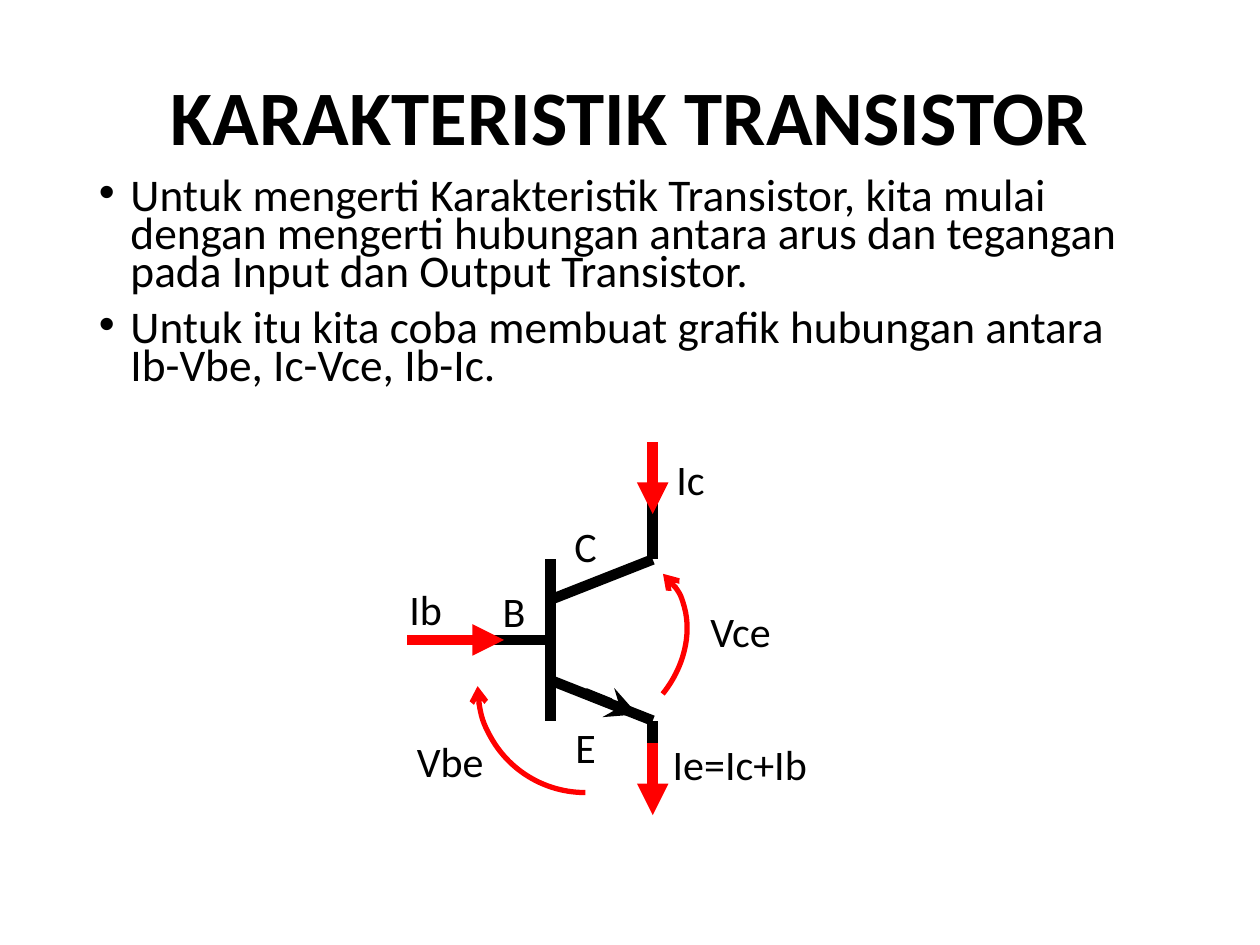
import pptx
import pptx.util
import pptx.dml.color
import pptx.enum.shapes
import pptx.enum.text
import pptx.oxml.ns
from dataclasses import dataclass
from lxml import etree

Pt = pptx.util.Pt
RGB = pptx.dml.color.RGBColor
qn = pptx.oxml.ns.qn
Anchor = pptx.enum.text.MSO_ANCHOR
Align = pptx.enum.text.PP_ALIGN
Kind = pptx.enum.shapes.MSO_SHAPE
Fit = pptx.enum.text.MSO_AUTO_SIZE


@dataclass(frozen=True)
class Theme:
    font: str = "Calibri"
    ink: RGB = RGB(0, 0, 0)
    red: RGB = RGB(255, 0, 0)
    title: float = 44
    body: float = 25.9
    label: float = 24
    wire: float = 6
    curve: float = 3


THEME = Theme()


def style(para, size, bold=False):
    font = para.font
    font.name, font.size, font.bold = THEME.font, Pt(size), bold
    font.color.rgb = THEME.ink


def stroke(shape, color, width, tail=None):
    shape.line.color.rgb = color
    shape.line.width = Pt(width)
    if tail:
        line = shape.line._get_or_add_ln()
        etree.SubElement(line, qn("a:tailEnd"), type=tail)


def add_text(shapes, left, top, width, height):
    box = shapes.add_textbox(Pt(left), Pt(top), Pt(width), Pt(height))
    return box.text_frame


def add_title(slide, left, top, width, height):
    frame = add_text(slide.shapes, left, top, width, height)
    frame.word_wrap = True
    frame.vertical_anchor = Anchor.MIDDLE
    para = frame.paragraphs[0]
    para.text = "KARAKTERISTIK TRANSISTOR"
    para.alignment = Align.CENTER
    para.line_spacing = 0.9
    style(para, THEME.title, True)


def add_body(slide, left, top, width, height):
    points = [
        "Untuk mengerti Karakteristik Transistor, kita mulai dengan mengerti "
        "hubungan antara arus dan tegangan pada Input dan Output Transistor.",
        "Untuk itu kita coba membuat grafik hubungan antara "
        "Ib-Vbe, Ic-Vce, Ib-Ic.",
    ]
    frame = add_text(slide.shapes, left, top, width, height)
    frame.word_wrap = True
    for i, text in enumerate(points):
        para = frame.add_paragraph() if i else frame.paragraphs[0]
        para.text = text
        props = para._p.get_or_add_pPr()
        props.set("marL", str(Pt(18)))
        props.set("indent", str(-Pt(18)))
        etree.SubElement(props, qn("a:buFont"), typeface="Arial")
        etree.SubElement(props, qn("a:buChar"), char="•")
        para.line_spacing = 0.7
        para.space_before = Pt(10 if i else 0)
        style(para, THEME.body)


def add_wire(shapes, start, end, color, tail=None):
    wire = shapes.add_connector(
        pptx.enum.shapes.MSO_CONNECTOR.STRAIGHT, *map(Pt, start + end))
    stroke(wire, color, THEME.wire, tail)
    etree.SubElement(wire._element.spPr, qn("a:effectLst"))


def add_arc(shapes, left, top, width, height, angle, flip=False):
    arc = shapes.add_shape(
        Kind.ARC, Pt(left), Pt(top), Pt(width), Pt(height))
    arc.shadow.inherit = False
    arc.fill.background()
    stroke(arc, THEME.red, THEME.curve, "arrow")
    arc.rotation = angle
    if flip:
        arc._element.spPr.find(qn("a:xfrm")).set("flipV", "1")


def add_circuit(slide, left, top):
    shapes = slide.shapes.add_group_shape().shapes
    lead, bar, mid = left + 146.2, left + 87.8, top + 113
    upper, lower = top + 67, top + 159.1

    # Transistor symbol
    for start, end in [
        ((lead, top + 204.5), (lead, lower)),
        ((lead, upper), (bar, mid - 23)),
        ((lead, lower), (bar, mid + 23)),
        ((bar, upper), (bar, lower)),
        ((left + 29.5, mid), (bar, mid)),
        ((lead, top + 21.6), (lead, upper)),
    ]:
        add_wire(shapes, start, end, THEME.ink)
    add_wire(shapes, (left + 107.3, top + 143.3),
             (left + 137.5, top + 155.5), THEME.ink, "stealth")

    # Currents
    for start, end in [
        ((lead, top), (lead, top + 41)),
        ((left + 5.8, mid), (left + 61.2, mid)),
        ((lead, top + 172), (lead, top + 213.1)),
    ]:
        add_wire(shapes, start, end, THEME.red, "triangle")

    # Voltages
    add_arc(shapes, left + 46.1, top + 78.5, 123.1, 121.7, 180)
    add_arc(shapes, left + 64.8, top + 74.2, 107.3, 85.7, 308.8, True)

    # Labels
    for text, x, y, width in [
        ("Vbe", 4.3, 164.2, 53.3),
        ("Ic", 152.6, 2.9, 31),
        ("Ib", 0, 77, 33.1),
        ("Vce", 172.1, 90, 49.7),
        ("Ie=Ic+Ib", 150.5, 165.6, 92.2),
        ("C", 94.3, 41, 27.4),
        ("E", 95, 156.2, 26.6),
        ("B", 53.3, 78.5, 27.4),
    ]:
        frame = add_text(shapes, left + x, top + y, width, 36)
        frame.word_wrap = False
        frame.auto_size = Fit.SHAPE_TO_FIT_TEXT
        frame.text = text
        style(frame.paragraphs[0], THEME.label)


def main():
    deck = pptx.Presentation()
    deck.slide_width, deck.slide_height = Pt(720), Pt(540)
    slide = deck.slides.add_slide(deck.slide_layouts[6])
    add_title(slide, 49.5, 28.8, 621, 80)
    add_body(slide, 49.5, 100, 621, 139)
    add_circuit(slide, 226.8, 252.7)
    deck.save("out.pptx")


if __name__ == "__main__":
    main()
